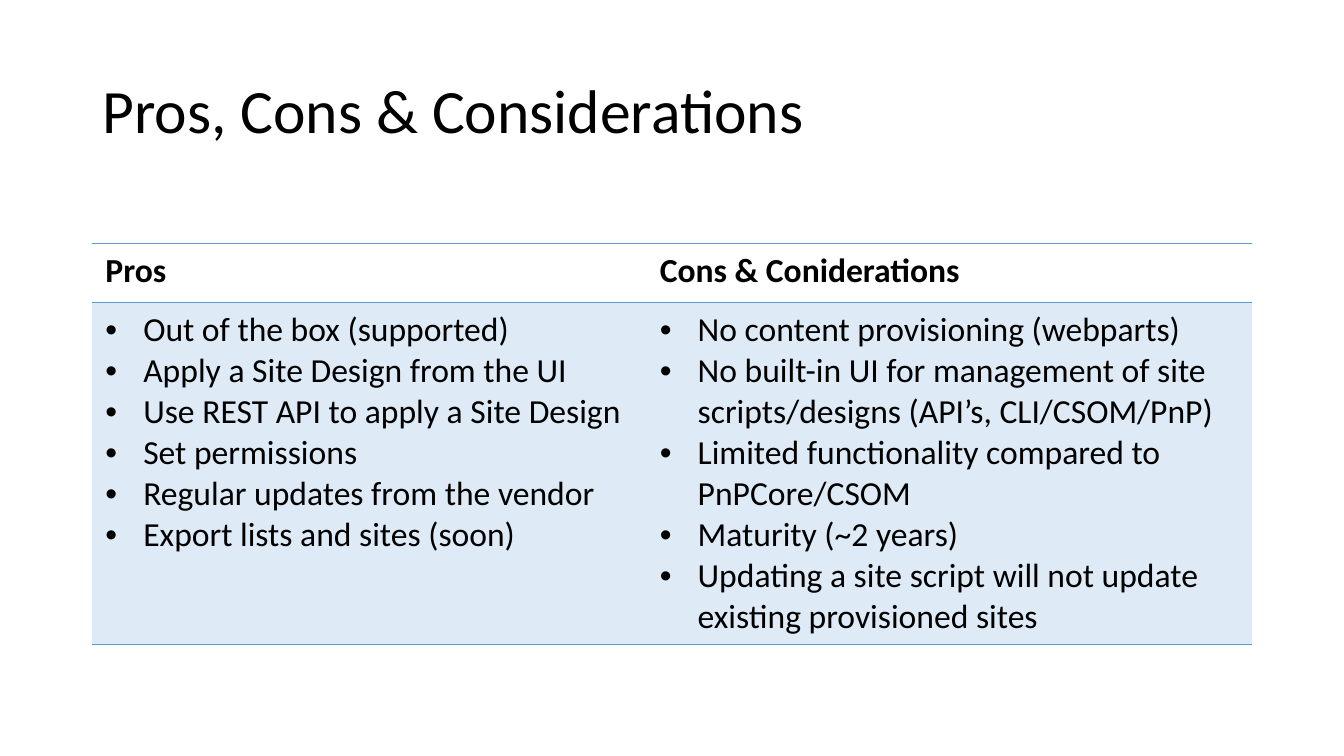
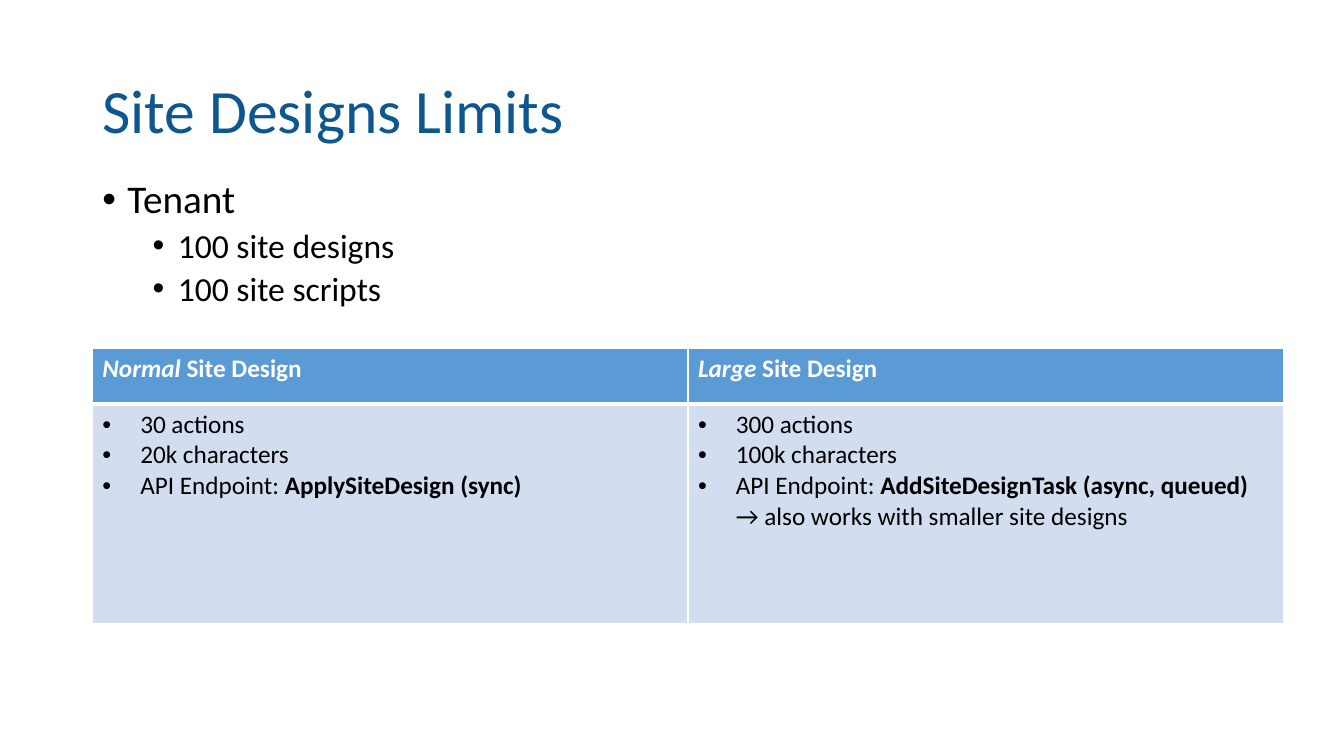
"""Build two slides on the strengths and the limits of site designs."""
from lxml.etree import SubElement
from pptx import Presentation
from pptx.dml.color import RGBColor
from pptx.enum.text import MSO_ANCHOR as Anchor, PP_ALIGN as Align
from pptx.oxml.ns import qn
from pptx.util import Inches, Pt

FONT = "Calibri"
BLACK = RGBColor(0x00, 0x00, 0x00)
WHITE = RGBColor(0xFF, 0xFF, 0xFF)
NAVY = RGBColor(0x0D, 0x57, 0x90)
BLUE = RGBColor(0x5B, 0x9B, 0xD5)
PALE_BLUE = RGBColor(0xDE, 0xEB, 0xF7)
GREY_BLUE = RGBColor(0xD2, 0xDE, 0xEF)

GRID = Inches(1) // 12
COLUMNS, ROWS = 160, 90
LEFT, CONTENT_WIDTH = 11, 138
CELL_INDENT = 4.5


def write_paragraph(paragraph, runs, size, color, bullet=None):
    """Add runs of (text, style); style holds b for bold and i for italic."""
    if bullet:
        margin, hanging = bullet
        properties = paragraph._p.get_or_add_pPr()
        properties.set("marL", str(int(margin * GRID)))
        properties.set("indent", str(int(-hanging * GRID)))
        SubElement(properties, qn("a:buFont"), typeface="Arial")
        SubElement(properties, qn("a:buChar"), char="•")
    for text, style in runs:
        run = paragraph.add_run()
        run.text = text
        font = run.font
        font.name, font.size = FONT, Pt(size)
        font.bold, font.italic = "b" in style, "i" in style
        font.color.rgb = color


def draw_borders(cell, borders):
    """Set the left, right, top and bottom lines as (width, colour) or None."""
    properties = cell._tc.get_or_add_tcPr()
    for side, border in zip("LRTB", borders):
        width, color = border or (0, None)
        line = SubElement(properties, qn(f"a:ln{side}"), w=str(Pt(width)))
        if border:
            fill = SubElement(line, qn("a:solidFill"))
            SubElement(fill, qn("a:srgbClr"), val=str(color))
        else:
            SubElement(line, qn("a:noFill"))


blue_line = (1, BLUE)
thin_white, thick_white = (1, WHITE), (3, WHITE)

slides = [
    {
        "title": "Pros, Cons & Considerations",
        "title_color": BLACK,
        "outline": [],
        "top": 29,
        "widths": [66, 72],
        "heights": [7, 40],
        "size": 24,
        "margins": (0.13, 0.07),
        "header_color": BLACK,
        "fills": [None, PALE_BLUE],
        "borders": [
            (None, None, blue_line, blue_line),
            (None, None, blue_line, blue_line),
        ],
        "headers": [[("Pros", "b")], [("Cons & Coniderations", "b")]],
        "lists": [
            [
                [("Out of the box (supported)", "")],
                [("Apply a Site Design from the UI", "")],
                [("Use REST API to apply a Site Design", "")],
                [("Set permissions", "")],
                [("Regular updates from the vendor", "")],
                [("Export lists and sites (soon)", "")],
            ],
            [
                [("No content provisioning (webparts)", "")],
                [("No built-in UI for management of site scripts/designs "
                  "(API’s, CLI/CSOM/PnP)", "")],
                [("Limited functionality compared to PnPCore/CSOM", "")],
                [("Maturity (~2 years)", "")],
                [("Updating a site script will not update existing "
                  "provisioned sites", "")],
            ],
        ],
    },
    {
        "title": "Site Designs Limits",
        "title_color": NAVY,
        "outline": [("Tenant", 0), ("100 site designs", 1), ("100 site scripts", 1)],
        "top": 41.5,
        "widths": [70.9, 70.9],
        "heights": [6.6, 26.2],
        "size": 18,
        "margins": (0.1, 0.05),
        "header_color": WHITE,
        "fills": [BLUE, GREY_BLUE],
        "borders": [
            (thin_white, thin_white, thin_white, thick_white),
            (thin_white, thin_white, thick_white, thin_white),
        ],
        "headers": [
            [("Normal", "bi"), (" Site Design", "b")],
            [("Large", "bi"), (" Site Design", "b")],
        ],
        "lists": [
            [
                [("30 actions", "")],
                [("20k characters", "")],
                [("API Endpoint: ", ""), ("ApplySiteDesign (sync)", "b")],
            ],
            [
                [("300 actions", "")],
                [("100k characters", "")],
                [("API Endpoint: ", ""),
                 ("AddSiteDesignTask (async, queued) ", "b"),
                 ("→ also works with smaller site designs", "")],
            ],
        ],
    },
]

presentation = Presentation()
presentation.slide_width = COLUMNS * GRID
presentation.slide_height = ROWS * GRID
title_only = presentation.slide_layouts[5]

for content in slides:
    slide = presentation.slides.add_slide(title_only)

    title = slide.shapes.title
    title.left, title.top = LEFT * GRID, int(4.8 * GRID)
    title.width, title.height = CONTENT_WIDTH * GRID, int(17.4 * GRID)
    title.text_frame.vertical_anchor = Anchor.MIDDLE
    heading = title.text_frame.paragraphs[0]
    heading.alignment, heading.line_spacing = Align.LEFT, 0.9
    write_paragraph(heading, [(content["title"], "")], 44, content["title_color"])

    table_shape = slide.shapes.add_table(
        2, 2, LEFT * GRID, int(content["top"] * GRID),
        int(sum(content["widths"]) * GRID), int(sum(content["heights"]) * GRID))
    table = table_shape.table
    table.horz_banding = False
    for column, width in zip(table.columns, content["widths"]):
        column.width = int(width * GRID)
    for row, height in zip(table.rows, content["heights"]):
        row.height = int(height * GRID)

    horizontal, vertical = (Inches(margin) for margin in content["margins"])
    for row_index, row in enumerate(table.rows):
        for column_index, cell in enumerate(row.cells):
            cell.margin_left = cell.margin_right = horizontal
            cell.margin_top = cell.margin_bottom = vertical
            draw_borders(cell, content["borders"][row_index])
            fill_color = content["fills"][row_index]
            if fill_color is None:
                cell.fill.background()
            else:
                cell.fill.solid()
                cell.fill.fore_color.rgb = fill_color

            if row_index == 0:
                write_paragraph(
                    cell.text_frame.paragraphs[0], content["headers"][column_index],
                    content["size"], content["header_color"])
                continue
            for index, runs in enumerate(content["lists"][column_index]):
                frame = cell.text_frame
                paragraph = frame.add_paragraph() if index else frame.paragraphs[0]
                write_paragraph(paragraph, runs, content["size"], BLACK,
                                (CELL_INDENT, CELL_INDENT))

    if content["outline"]:
        outline = slide.shapes.add_textbox(
            LEFT * GRID, int(20.8 * GRID), CONTENT_WIDTH * GRID, 26 * GRID)
        frame = outline.text_frame
        frame.word_wrap = True
        for index, (text, level) in enumerate(content["outline"]):
            paragraph = frame.add_paragraph() if index else frame.paragraphs[0]
            paragraph.level, paragraph.line_spacing = level, 0.9
            if index:
                paragraph.space_before = Pt(5)
            write_paragraph(paragraph, [(text, "")], 28 - 4 * level, BLACK,
                            (3 + 6 * level, 3))

presentation.save("out.pptx")
